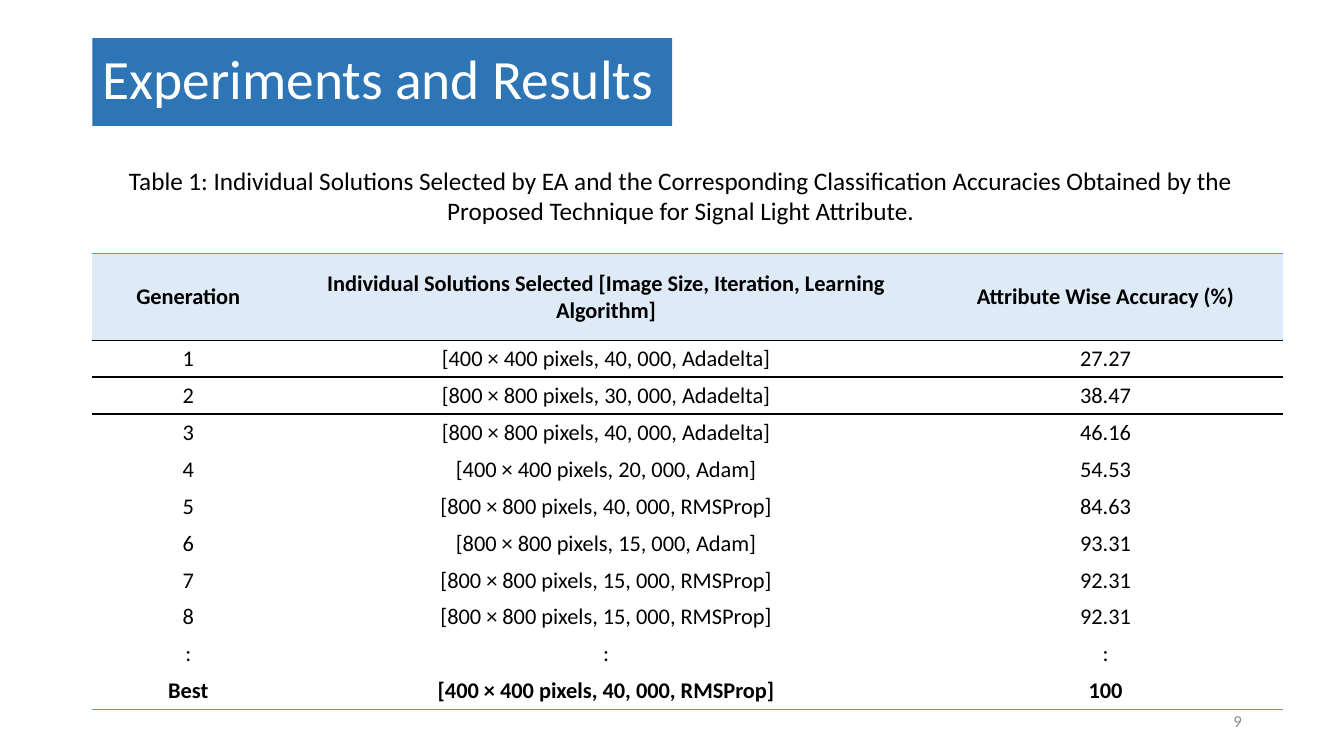
from pptx import Presentation
from pptx.dml.color import RGBColor as Rgb
from pptx.enum.text import MSO_ANCHOR as Anchor, MSO_AUTO_SIZE as Fit, PP_ALIGN as Align
from pptx.oxml.ns import qn
from pptx.util import Cm, Pt
from lxml.etree import SubElement as Sub

# Content
TITLE = "Experiments and Results"
CAPTION = ("Table 1: Individual Solutions Selected by EA and the Corresponding "
           "Classification Accuracies Obtained by the Proposed Technique for "
           "Signal Light Attribute.")
NUMBER = "9"
ROWS = [
    ("Generation",
     "Individual Solutions Selected [Image Size, Iteration, Learning Algorithm]",
     "Attribute Wise Accuracy (%)"),
    ("1", "[400 × 400 pixels, 40, 000, Adadelta]", "27.27"),
    ("2", "[800 × 800 pixels, 30, 000, Adadelta]", "38.47"),
    ("3", "[800 × 800 pixels, 40, 000, Adadelta]", "46.16"),
    ("4", "[400 × 400 pixels, 20, 000, Adam]", "54.53"),
    ("5", "[800 × 800 pixels, 40, 000, RMSProp]", "84.63"),
    ("6", "[800 × 800 pixels, 15, 000, Adam]", "93.31"),
    ("7", "[800 × 800 pixels, 15, 000, RMSProp]", "92.31"),
    ("8", "[800 × 800 pixels, 15, 000, RMSProp]", "92.31"),
    (":", ":", ":"),
    ("Best", "[400 × 400 pixels, 40, 000, RMSProp]", "100"),
]

# Theme
THEME = {
    "font": "Calibri",
    "title": (39.6, "FFFFFF"), "caption": (18, "000000"),
    "cell": (16, "000000"), "number": (12, "8C8C8C"),
    "banner": "2E75B6", "head": "DEEBF7",
    "rule": "000000", "edge": "5B9BD5",
}
PLAIN = "{2D5ABB26-0587-4C30-8999-92F81FD0307C}"  # table style with no grid

# Layout in centimetres
LEFT, TOP = 2.33, 6.38
WIDTHS = (4.83, 16.23, 8.94)
HEAD, STEP = 2.19, 0.93
LAST = len(ROWS) - 1
# Rules keyed by the row boundary they lie on
RULES = {0: THEME["edge"], 1: THEME["rule"], 2: THEME["rule"], LAST + 1: THEME["edge"]}


def put(thing, **values):
    for name, value in values.items():
        setattr(thing, name, value)


def write(frame, text, role, align, bold=False):
    frame.text = text
    para = frame.paragraphs[0]
    size, color = THEME[role]
    para.alignment = align
    font = para.runs[0].font
    put(font, name=THEME["font"], size=Pt(size), bold=bold)
    font.color.rgb = Rgb.from_string(color)
    return para


def label(slide, box, text, role, align, anchor):
    frame = slide.shapes.add_textbox(*map(Cm, box)).text_frame
    put(frame, word_wrap=True, vertical_anchor=anchor)
    write(frame, text, role, align)


def border(cell, row):
    props = cell._tc.get_or_add_tcPr()
    for tag, edge in (("a:lnT", row), ("a:lnB", row + 1)):
        if edge in RULES:
            line = Sub(props, qn(tag), w=str(Pt(1)))
            fill = Sub(line, qn("a:solidFill"))
            Sub(fill, qn("a:srgbClr"), val=RULES[edge])


def banner(slide):
    title = slide.shapes.title
    put(title, left=Cm(LEFT), top=Cm(0.96), width=Cm(14.61), height=Cm(2.21))
    title.fill.solid()
    title.fill.fore_color.rgb = Rgb.from_string(THEME["banner"])
    frame = title.text_frame
    put(frame, auto_size=Fit.NONE, word_wrap=True, vertical_anchor=Anchor.MIDDLE)
    write(frame, TITLE, "title", Align.LEFT).line_spacing = 0.9


def results(slide):
    box = (LEFT, TOP, sum(WIDTHS), HEAD + STEP * LAST)
    table = slide.shapes.add_table(len(ROWS), len(WIDTHS), *map(Cm, box)).table
    put(table, horz_banding=False)
    table._tbl.tblPr.find(qn("a:tableStyleId")).text = PLAIN
    for col, width in zip(table.columns, WIDTHS):
        col.width = Cm(width)
    for r, texts in enumerate(ROWS):
        table.rows[r].height = Cm(STEP if r else HEAD)
        for c, text in enumerate(texts):
            cell = table.cell(r, c)
            put(cell, vertical_anchor=Anchor.MIDDLE, margin_left=Cm(0.02),
                margin_right=Cm(0.02), margin_top=Cm(0.02), margin_bottom=0)
            write(cell.text_frame, text, "cell", Align.CENTER, r in (0, LAST))
            border(cell, r)
            if r:
                cell.fill.background()
            else:
                cell.fill.solid()
                cell.fill.fore_color.rgb = Rgb.from_string(THEME["head"])


def main():
    deck = Presentation()
    put(deck, slide_width=Cm(33.87), slide_height=Cm(19.05))
    slide = deck.slides.add_slide(deck.slide_layouts[5])
    banner(slide)
    results(slide)
    # Page number and caption
    label(slide, (23.93, 17.65, 7.62, 1.02), NUMBER, "number", Align.RIGHT, Anchor.MIDDLE)
    label(slide, (2.79, 4.04, 28.73, 1.8), CAPTION, "caption", Align.CENTER, Anchor.TOP)
    deck.save("out.pptx")


if __name__ == "__main__":
    main()
